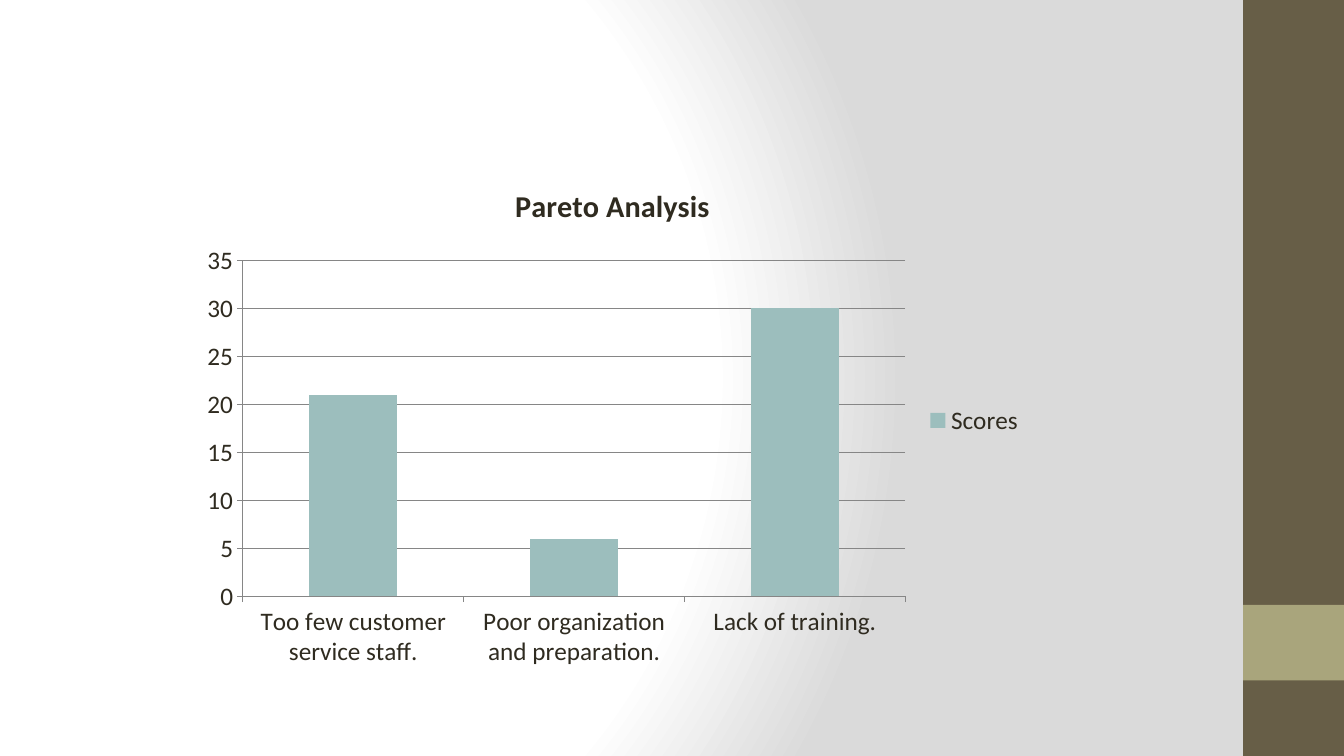
from dataclasses import dataclass

import lxml.etree
import pptx
import pptx.chart.data
import pptx.dml.color
import pptx.enum.chart
import pptx.enum.shapes
import pptx.oxml.ns
import pptx.util

COLORS = {
    "white": "FFFFFF", "gray": "DADADA", "brown": "675E47",
    "olive": "A9A57C", "teal": "9CBEBD", "ink": "2F2B20", "line": "868686",
}
WIDE, HIGH = pptx.util.Inches(13.33), pptx.util.Inches(7.5)
CATS = ["Too few customer service staff.",
        "Poor organization and preparation.", "Lack of training."]
SCORES = [21, 6, 30]


@dataclass
class Box:
    """A place given as shares of the slide's width and height."""
    left: float
    top: float
    width: float
    height: float

    def place(self) -> list[int]:
        return [round(self.left * WIDE), round(self.top * HIGH),
                round(self.width * WIDE), round(self.height * HIGH)]


@dataclass
class Band:
    box: Box
    color: str


BANDS = [Band(Box(0.925, 0, 0.075, 1), "brown"),
         Band(Box(0.925, 0.8, 0.075, 0.1), "olive")]
PLOT = Box(0.1418, 0.216, 0.6279, 0.68)


def rgb(name: str) -> pptx.dml.color.RGBColor:
    return pptx.dml.color.RGBColor.from_string(COLORS[name])


def assign(target, values: dict) -> None:
    for name, value in values.items():
        setattr(target, name, value)


def style(font, size: float, bold: bool) -> None:
    assign(font, {"name": "Calibri", "size": pptx.util.Pt(size), "bold": bold})
    font.color.rgb = rgb("ink")


def rule(line) -> None:
    line.color.rgb = rgb("line")
    line.width = pptx.util.Pt(0.75)


def glow(slide) -> None:
    """Give the slide a circular gradient background."""
    fill = slide.background.fill
    fill.gradient()
    grad = slide.element.find(".//" + pptx.oxml.ns.qn("a:gradFill"))
    for child in list(grad):
        grad.remove(child)

    def add(parent, tag: str, **attrs: str):
        return lxml.etree.SubElement(parent, pptx.oxml.ns.qn(tag), attrs)

    stops = add(grad, "a:gsLst")
    for share, name in [(0, "white"), (75, "white"), (100, "gray")]:
        stop = add(stops, "a:gs", pos=str(share * 1000))
        add(stop, "a:srgbClr", val=COLORS[name])
    way = add(grad, "a:path", path="circle")
    add(way, "a:fillToRect", l="20000", t="50000", r="100000", b="50000")


def draw_band(slide, band: Band) -> None:
    shape = slide.shapes.add_shape(
        pptx.enum.shapes.MSO_SHAPE.RECTANGLE, *band.box.place())
    shape.shadow.inherit = False
    shape.fill.solid()
    shape.fill.fore_color.rgb = rgb(band.color)
    shape.line.fill.background()


def draw_chart(slide, box: Box) -> None:
    kinds = pptx.enum.chart
    data = pptx.chart.data.CategoryChartData()
    data.categories = CATS
    data.add_series("Scores", SCORES)
    chart = slide.shapes.add_chart(
        kinds.XL_CHART_TYPE.COLUMN_CLUSTERED, *box.place(), data).chart
    style(chart.font, 18, False)

    chart.has_title = True
    frame = chart.chart_title.text_frame
    frame.text = "Pareto Analysis"
    style(frame.paragraphs[0].runs[0].font, 21.6, True)
    chart.chart_title.include_in_layout = False

    chart.has_legend = True
    assign(chart.legend, {"position": kinds.XL_LEGEND_POSITION.RIGHT,
                          "include_in_layout": False})
    for axis in (chart.category_axis, chart.value_axis):
        axis.major_tick_mark = kinds.XL_TICK_MARK.OUTSIDE
        rule(axis.format.line)
    assign(chart.value_axis, {"minimum_scale": 0, "maximum_scale": 35,
                              "major_unit": 5, "has_major_gridlines": True})
    rule(chart.value_axis.major_gridlines.format.line)

    plot = chart.plots[0]
    assign(plot, {"gap_width": 150, "vary_by_categories": False})
    fill = plot.series[0].format.fill
    fill.solid()
    fill.fore_color.rgb = rgb("teal")


def main() -> None:
    deck = pptx.Presentation()
    assign(deck, {"slide_width": WIDE, "slide_height": HIGH})
    slide = deck.slides.add_slide(deck.slide_layouts[6])
    glow(slide)
    for band in BANDS:
        draw_band(slide, band)
    draw_chart(slide, PLOT)
    deck.save("out.pptx")


if __name__ == "__main__":
    main()
